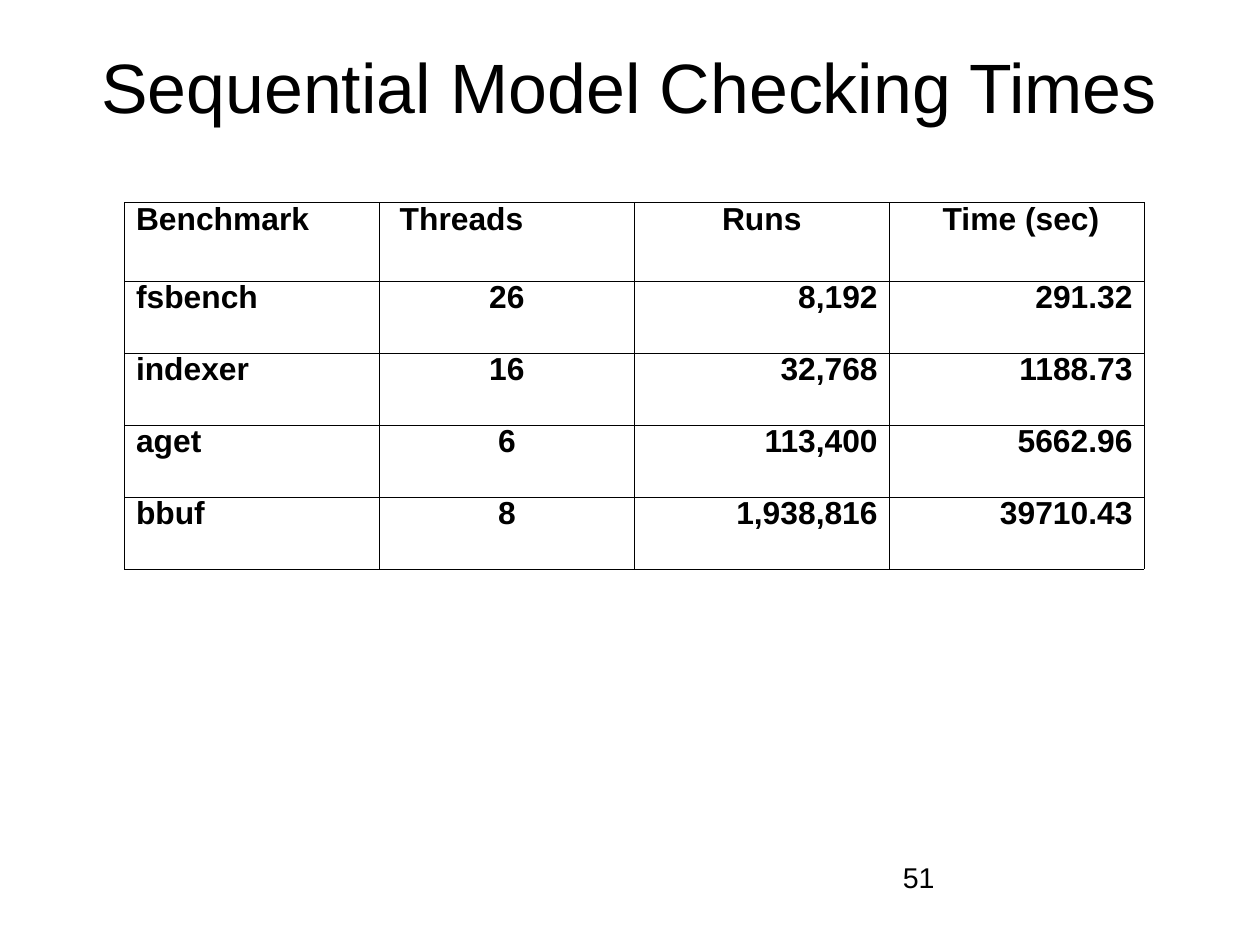
from lxml import etree
from pptx import Presentation
from pptx.dml.color import RGBColor
from pptx.enum.text import MSO_ANCHOR, MSO_AUTO_SIZE, PP_ALIGN
from pptx.oxml.ns import qn
from pptx.util import Inches, Pt

TITLE = "Sequential Model Checking Times"
ROWS = [
    ("Benchmark", " Threads", "Runs", " Time (sec)"),
    ("fsbench", "26", "8,192", "291.32"),
    ("indexer", "16", "32,768", "1188.73"),
    ("aget", "6", "113,400", "5662.96"),
    ("bbuf", "8", "1,938,816", "39710.43"),
]
PAGE_NUMBER = "51"

SLIDE_WIDTH, SLIDE_HEIGHT = Pt(793.75), Pt(595.25)
FONT = "Arial"
BLACK = RGBColor(0x00, 0x00, 0x00)
LEFT, CENTER, RIGHT = PP_ALIGN.LEFT, PP_ALIGN.CENTER, PP_ALIGN.RIGHT
TOP = MSO_ANCHOR.TOP
NO_AUTOFIT = MSO_AUTO_SIZE.NONE
HEADER_ALIGNMENTS = (LEFT, LEFT, CENTER, CENTER)
BODY_ALIGNMENTS = (LEFT, CENTER, RIGHT, RIGHT)
COLUMN_WIDTH = 2.23
HEADER_HEIGHT, ROW_HEIGHT = 0.69, 0.63
OUTER_BORDER, INNER_BORDER = Pt(0.23), Pt(0.11)


def write_text(frame, text, size, alignment, bold=False):
    paragraph = frame.paragraphs[0]
    paragraph.alignment = alignment
    run = paragraph.add_run()
    run.text = text
    run.font.name = FONT
    run.font.size = Pt(size)
    run.font.bold = bold
    run.font.color.rgb = BLACK
    return paragraph


def add_borders(cell, outer_edges):
    properties = cell._tc.get_or_add_tcPr()
    for side, is_outer in zip("LRTB", outer_edges):
        width = OUTER_BORDER if is_outer else INNER_BORDER
        line = etree.SubElement(properties, qn(f"a:ln{side}"), w=str(int(width)))
        fill = etree.SubElement(line, qn("a:solidFill"))
        etree.SubElement(fill, qn("a:srgbClr"), val=str(BLACK))


def add_title(slide):
    title = slide.shapes.title
    title.left, title.top = Inches(0.55), Inches(0.33)
    title.width, title.height = Inches(9.92), Inches(1.73)
    frame = title.text_frame
    frame.word_wrap = True
    frame.auto_size = NO_AUTOFIT
    frame.vertical_anchor = TOP
    write_text(frame, TITLE, 44, CENTER)


def add_times_table(slide):
    last_row, last_column = len(ROWS) - 1, len(ROWS[0]) - 1
    table = slide.shapes.add_table(
        len(ROWS), len(ROWS[0]), Inches(1.09), Inches(1.77),
        Inches(COLUMN_WIDTH * len(ROWS[0])),
        Inches(HEADER_HEIGHT + ROW_HEIGHT * last_row),
    ).table
    table.first_row = False
    table.horz_banding = False
    for column in table.columns:
        column.width = Inches(COLUMN_WIDTH)
    for row_index, values in enumerate(ROWS):
        is_header = row_index == 0
        table.rows[row_index].height = Inches(HEADER_HEIGHT if is_header else ROW_HEIGHT)
        alignments = HEADER_ALIGNMENTS if is_header else BODY_ALIGNMENTS
        for column_index, (value, alignment) in enumerate(zip(values, alignments)):
            cell = table.cell(row_index, column_index)
            cell.vertical_anchor = TOP
            paragraph = write_text(cell.text_frame, value, 20, alignment, bold=True)
            paragraph.line_spacing = 0.78
            paragraph.space_before = Pt(7.5)
            add_borders(cell, (column_index == 0, column_index == last_column,
                               is_header, row_index == last_row))
            cell.fill.background()


def add_page_number(slide):
    box = slide.shapes.add_textbox(Inches(7.9), Inches(7.55), Inches(2.56), Inches(0.57))
    frame = box.text_frame
    frame.word_wrap = True
    frame.margin_left = frame.margin_right = frame.margin_top = frame.margin_bottom = 0
    write_text(frame, PAGE_NUMBER, 18, LEFT).line_spacing = 0.93


def main():
    presentation = Presentation()
    presentation.slide_width = SLIDE_WIDTH
    presentation.slide_height = SLIDE_HEIGHT
    slide = presentation.slides.add_slide(presentation.slide_layouts[5])
    add_title(slide)
    add_times_table(slide)
    add_page_number(slide)
    presentation.save("out.pptx")


if __name__ == "__main__":
    main()
